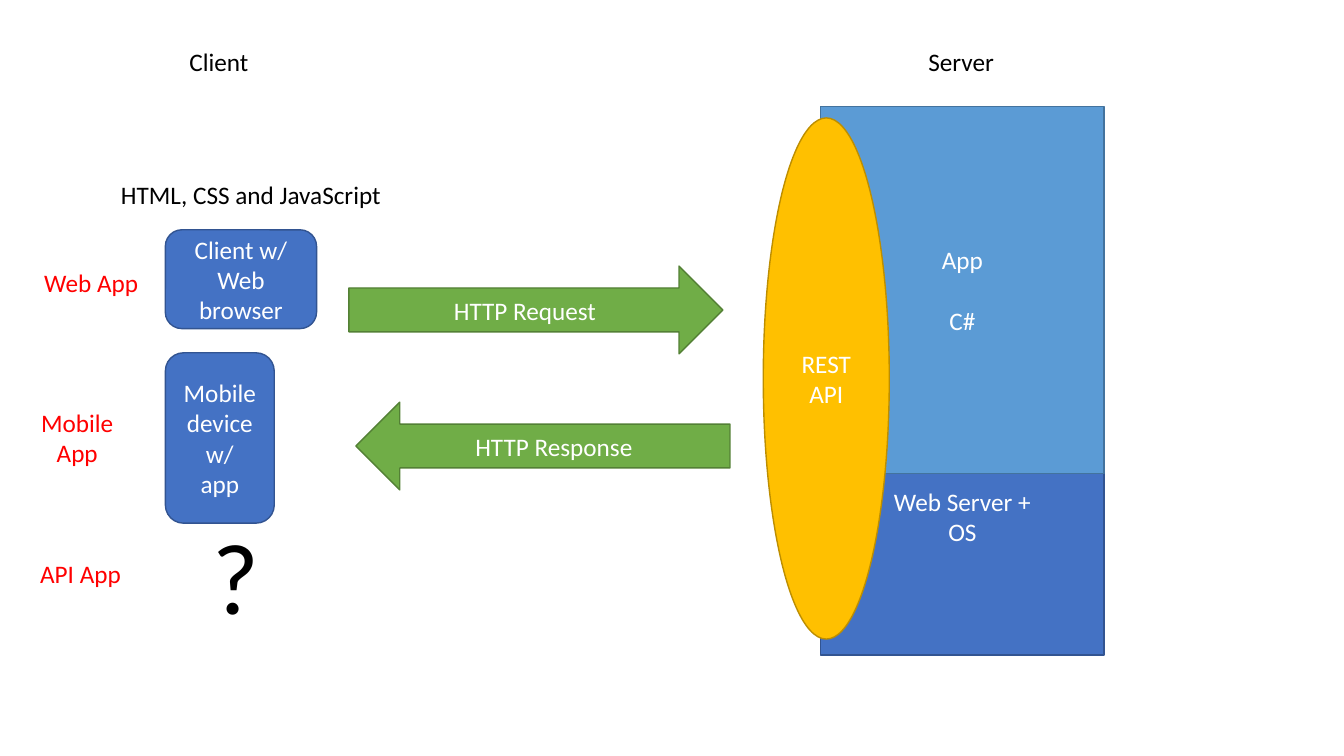
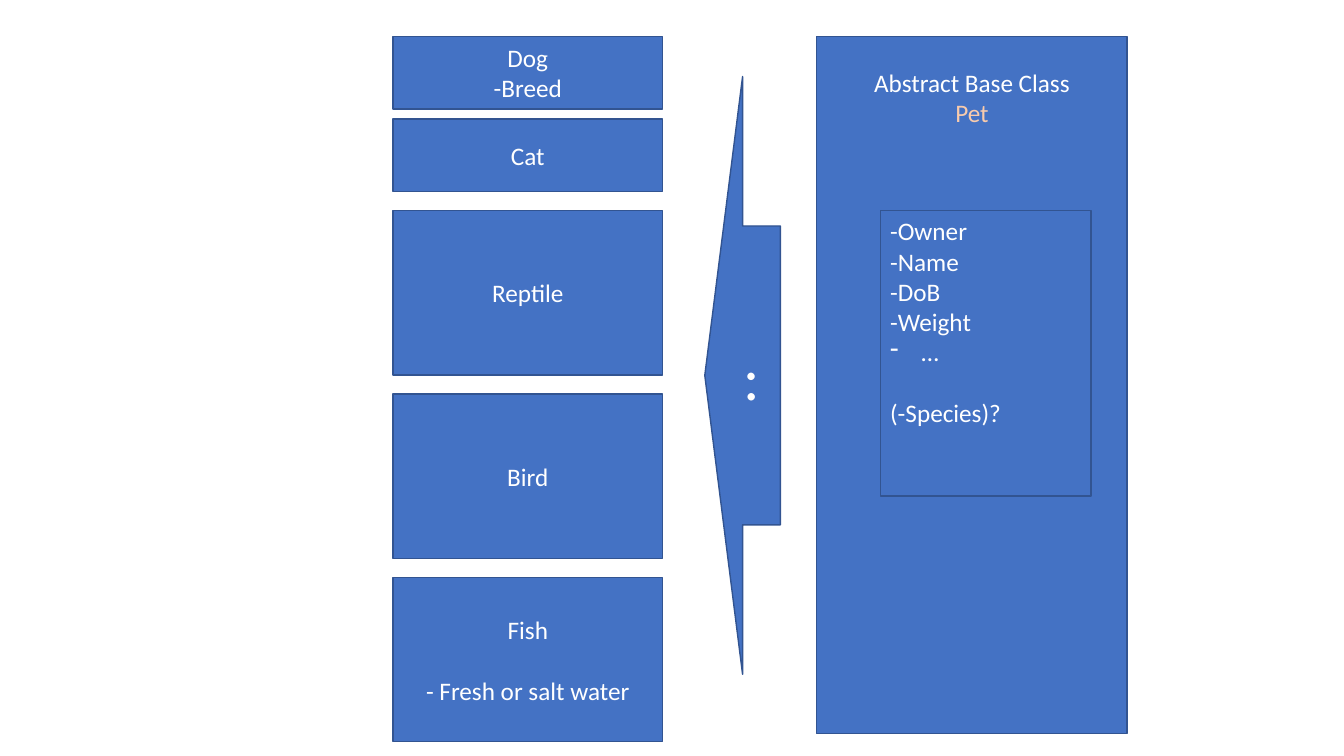
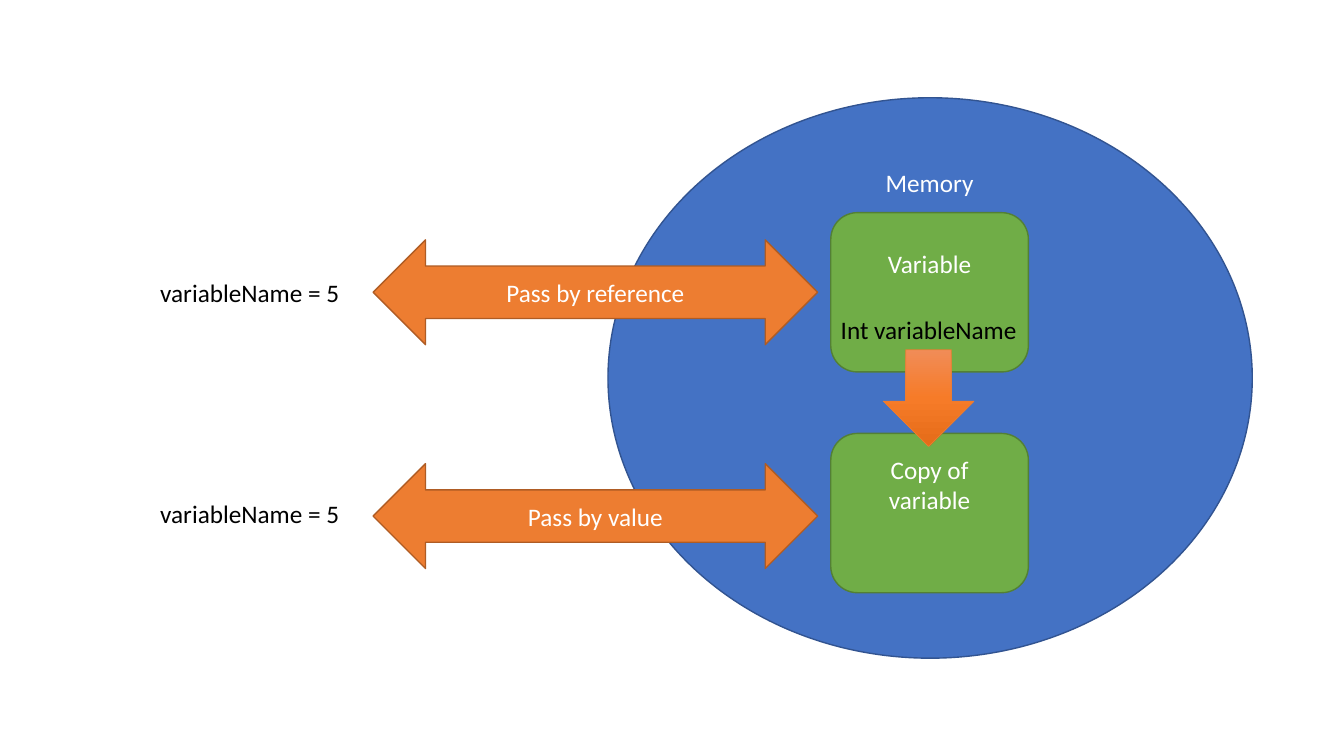
from copy import deepcopy
from dataclasses import dataclass, field
from typing import Optional

from lxml.etree import SubElement
from pptx import Presentation
from pptx.dml.color import RGBColor
from pptx.enum.shapes import MSO_SHAPE as Preset
from pptx.enum.text import MSO_ANCHOR as Anchor, PP_ALIGN as Align
from pptx.oxml.ns import qn
from pptx.util import Inches, Pt

FONT = "Calibri"
BLANK_LAYOUT = 6
LINE_GAP = 22
COLORS = {
    "blue": "4472C4", "blue line": "325491",
    "sky": "5B9BD5", "sky line": "43739E",
    "gold": "FFC000", "gold line": "BD8E00",
    "green": "70AD47", "green line": "538035",
    "orange": "ED7D31", "orange line": "AF5C24",
    "peach": "F8CBAD", "red": "FF0000", "black": "000000", "white": "FFFFFF",
    "copy start": "F18C57", "copy middle": "F67B28", "copy end": "E56C19",
}


@dataclass
class Block:
    preset: Preset
    place: tuple
    color: str
    text: str = ""
    style: dict = field(default_factory=dict)


@dataclass
class Label:
    text: str
    place: tuple
    color: str = "black"
    style: dict = field(default_factory=dict)


def rgb(name: str) -> RGBColor:
    return RGBColor.from_string(COLORS[name])


def write_text(shape, text: str, *, size: float = 18, color: str = "white",
               align: Align = Align.CENTER, anchor: Anchor = Anchor.MIDDLE,
               top: float = 0.05, wrap: bool = True,
               gaps: Optional[dict] = None, line_colors: Optional[dict] = None,
               line_aligns: Optional[dict] = None, dashed: tuple = ()) -> None:
    frame = shape.text_frame
    frame.word_wrap = wrap
    frame.vertical_anchor = anchor
    frame.margin_top = Inches(top)
    for index, line in enumerate(text.split("\n")):
        paragraph = frame.add_paragraph() if index else frame.paragraphs[0]
        paragraph.alignment = (line_aligns or {}).get(index, align)
        if index in (gaps or {}):
            paragraph.space_before = Pt(gaps[index])
        if index in dashed:
            add_dash(paragraph)
        run = paragraph.add_run()
        run.text = line
        run.font.name = FONT
        run.font.size = Pt(size)
        run.font.color.rgb = rgb((line_colors or {}).get(index, color))


def add_dash(paragraph) -> None:
    properties = paragraph._p.get_or_add_pPr()
    indent = Inches(0.31)
    properties.set("marL", str(indent))
    properties.set("indent", str(-indent))
    SubElement(properties, qn("a:buChar")).set("char", "-")


def add_block(slide, block: Block):
    shape = slide.shapes.add_shape(block.preset, *map(Inches, block.place))
    shape.shadow.inherit = False
    shape.fill.solid()
    shape.fill.fore_color.rgb = rgb(block.color)
    shape.line.color.rgb = rgb(f"{block.color} line")
    shape.line.width = Pt(1)
    if block.text:
        write_text(shape, block.text, **block.style)
    return shape


def add_label(slide, label: Label) -> None:
    box = slide.shapes.add_textbox(*map(Inches, label.place))
    style = {"align": Align.LEFT, "anchor": Anchor.TOP, "wrap": False, **label.style}
    write_text(box, label.text, color=label.color, **style)


def draw(slide, items: list) -> None:
    for item in items:
        if isinstance(item, Block):
            add_block(slide, item)
        else:
            add_label(slide, item)


def add_copy_arrow(slide) -> None:
    arrow = add_block(slide, Block(Preset.DOWN_ARROW, (8.76, 3.47, 0.9, 0.96), "orange"))
    arrow.line.color.rgb = rgb("orange")
    arrow.line.width = Pt(0.5)
    arrow.fill.gradient()
    arrow.fill.gradient_angle = 270
    first_stop = arrow._element.spPr.find(".//" + qn("a:gs"))
    first_stop.addnext(deepcopy(first_stop))
    stops = zip(arrow.fill.gradient_stops, ("copy start", "copy middle", "copy end"))
    for index, (stop, color) in enumerate(stops):
        stop.position = index / 2
        stop.color.rgb = rgb(color)


def build_client_server(slide) -> None:
    draw(slide, [
        Block(Preset.RECTANGLE, (8.14, 3.75, 2.81, 2.75), "blue", "Web Server +\nOS"),
        Block(Preset.ROUNDED_RECTANGLE, (1.64, 2.28, 1.5, 0.98), "blue",
              "Client w/\nWeb browser"),
        Block(Preset.ROUNDED_RECTANGLE, (1.64, 3.5, 1.08, 1.69), "blue",
              "Mobile device w/\napp"),
        Label("?", (2.01, 5.05, 0.67, 1.31), style={"size": 72}),
        Block(Preset.RECTANGLE, (8.14, 1.06, 2.81, 3.64), "sky", "App\nC#",
              {"gaps": {1: LINE_GAP}}),
        Block(Preset.OVAL, (7.57, 1.17, 1.25, 5.17), "gold", "REST\nAPI"),
        Label("Web App", (0.34, 2.6, 1.15, 0.4), "red"),
        Label("Mobile\nApp", (0.31, 3.99, 0.93, 0.71), "red",
              {"line_aligns": {1: Align.CENTER}}),
        Label("API App", (0.3, 5.49, 1.01, 0.4), "red"),
        Label("Client", (1.78, 0.41, 0.79, 0.4)),
        Label("Server", (9.11, 0.41, 0.86, 0.4)),
        Label("HTML, CSS and JavaScript", (1.1, 1.73, 2.81, 0.4)),
        Block(Preset.RIGHT_ARROW, (3.46, 2.64, 3.71, 0.87), "green", "HTTP Request"),
        Block(Preset.LEFT_ARROW, (3.53, 3.99, 3.71, 0.87), "green", "HTTP Response"),
    ])


def build_pet_classes(slide) -> None:
    draw(slide, [
        Block(Preset.RECTANGLE, (8.1, 0.36, 3.08, 6.92), "blue",
              "Abstract Base Class\nPet",
              {"anchor": Anchor.TOP, "top": 0.31, "line_colors": {1: "peach"}}),
        Block(Preset.RECTANGLE, (8.73, 2.09, 2.09, 2.83), "blue",
              "-Owner\n-Name\n-DoB\n-Weight\n…\n(-Species)?",
              {"anchor": Anchor.TOP, "align": Align.LEFT, "dashed": (4,),
               "gaps": {5: LINE_GAP}}),
        Block(Preset.LEFT_ARROW, (6.99, 0.76, 0.75, 5.93), "blue", ":", {"size": 44}),
    ])
    species_groups = [
        (0.36, 0.72, 0.82, ["Dog\n-Breed", "Cat"]),
        (2.09, 1.63, 1.82, ["Reptile", "Bird", "Fish\n- Fresh or salt water"]),
    ]
    for top, height, pitch, names in species_groups:
        for index, name in enumerate(names):
            style = {"gaps": {1: LINE_GAP}} if name.startswith("Fish") else {}
            place = (3.9, top + index * pitch, 2.67, height)
            add_block(slide, Block(Preset.RECTANGLE, place, "blue", name, style))


def build_variable_passing(slide) -> None:
    draw(slide, [
        Block(Preset.OVAL, (6.03, 0.97, 6.39, 5.56), "blue"),
        Label("Memory", (8.62, 1.61, 1.2, 0.4), "white", {"align": Align.CENTER}),
    ])
    rows = [
        ("Pass by reference", 2.38, 2.7, "Variable", 2.11, 0.28),
        ("Pass by value", 4.6, 4.89, "Copy of variable", 4.3, 0.13),
    ]
    for passing, arrow_top, label_top, variable, variable_top, margin in rows:
        draw(slide, [
            Block(Preset.ROUNDED_RECTANGLE, (8.24, variable_top, 1.96, 1.58), "green",
                  variable, {"anchor": Anchor.TOP, "top": margin}),
            Label("variableName = 5", (1.49, label_top, 4.02, 0.4),
                  style={"wrap": True}),
            Block(Preset.LEFT_RIGHT_ARROW, (3.7, arrow_top, 4.41, 1.04), "orange",
                  passing),
        ])
    add_label(slide, Label("Int variableName", (8.24, 3.07, 1.96, 0.4)))
    add_copy_arrow(slide)


def main() -> None:
    presentation = Presentation()
    presentation.slide_width = Inches(13.33)
    presentation.slide_height = Inches(7.5)
    for build in (build_client_server, build_pet_classes, build_variable_passing):
        build(presentation.slides.add_slide(presentation.slide_layouts[BLANK_LAYOUT]))
    presentation.save("out.pptx")


if __name__ == "__main__":
    main()
